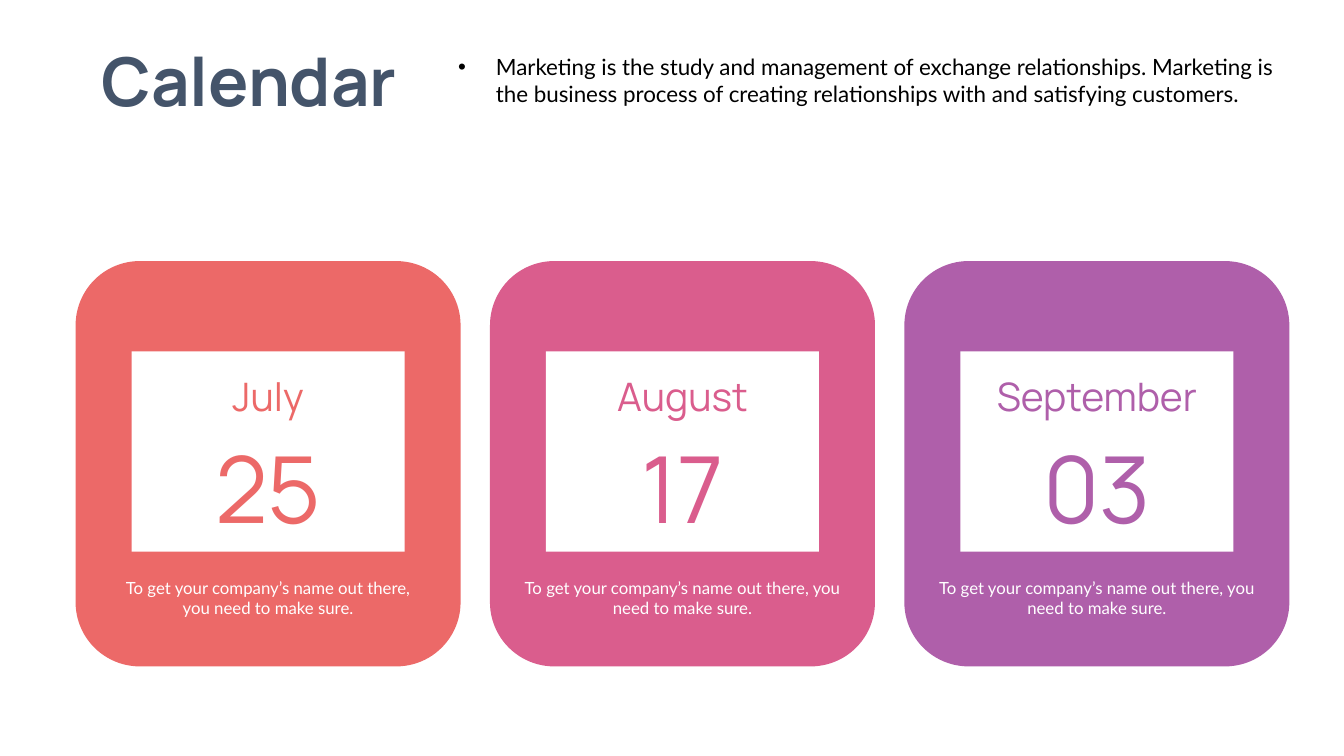
from lxml import etree
from pptx import Presentation
from pptx.dml.color import RGBColor
from pptx.enum.shapes import MSO_SHAPE
from pptx.enum.text import MSO_ANCHOR, MSO_AUTO_SIZE, PP_ALIGN
from pptx.oxml.ns import qn
from pptx.util import Pt

ROUND, RECT = MSO_SHAPE.ROUNDED_RECTANGLE, MSO_SHAPE.RECTANGLE
TOP, MIDDLE = MSO_ANCHOR.TOP, MSO_ANCHOR.MIDDLE
LEFT, CENTER = PP_ALIGN.LEFT, PP_ALIGN.CENTER
FIXED = MSO_AUTO_SIZE.NONE

SLATE = RGBColor(0x44, 0x54, 0x6A)
BLACK = RGBColor(0, 0, 0)
WHITE = RGBColor(255, 255, 255)
CORAL = RGBColor(0xEC, 0x69, 0x68)
PINK = RGBColor(0xDA, 0x5D, 0x8D)
PURPLE = RGBColor(0xAF, 0x5F, 0xAA)

HEAD, BODY = "Manrope", "Lato"
INTRO = ("Marketing is the study and management of exchange relationships. "
         "Marketing is the business process of creating relationships "
         "with and satisfying customers.")
NOTE = "To get your company’s name out there, you need to make sure."
DATES = [("July", "25", CORAL, 228), ("August", "17", PINK, 254),
         ("September", "03", PURPLE, 254)]


def place(shape, x, y, w, h):
    """Move a shape to a box given in points."""
    shape.left, shape.top, shape.width, shape.height = map(Pt, (x, y, w, h))


def write(shape, text, font, size, color, align=CENTER, anchor=TOP,
          wrap=True, bold=False):
    """Fill a text shape with one styled paragraph."""
    frame = shape.text_frame
    frame.text = text
    frame.word_wrap = wrap
    frame.auto_size = FIXED
    frame.vertical_anchor = anchor
    para = frame.paragraphs[0]
    para.alignment = align
    para.space_before = Pt(0)
    para.font.name, para.font.size = font, Pt(size)
    para.font.bold = bold
    para.font.color.rgb = color
    return frame


def block(slide, kind, color, x, y, w, h):
    """Draw a plain filled shape."""
    shape = slide.shapes.add_shape(kind, Pt(x), Pt(y), Pt(w), Pt(h))
    shape.shadow.inherit = False
    shape.fill.solid()
    shape.fill.fore_color.rgb = color
    shape.line.fill.background()


def label(slide, text, size, color, x, y, w, h):
    """Add a tight, centred line of display text."""
    box = slide.shapes.add_textbox(Pt(x), Pt(y), Pt(w), Pt(h))
    frame = write(box, text, HEAD, size, color, anchor=MIDDLE)
    frame.margin_left = frame.margin_right = Pt(0)
    frame.margin_top = frame.margin_bottom = Pt(0)
    frame.paragraphs[0].line_spacing = 0.9


def header(slide, x, y, w, h):
    """Set the title and the intro text in the top band."""
    title, intro = slide.placeholders
    place(title, x, y, 248, h)
    write(title, "Calendar", HEAD, 48, SLATE, wrap=False, bold=True)
    place(intro, x + 266, y + 10, w - 266, 46)
    props = intro.text_frame.paragraphs[0]._p.get_or_add_pPr()
    props.set("marL", "0")
    props.set("indent", "0")
    etree.SubElement(props, qn("a:buNone"))
    write(intro, INTRO, BODY, 16, BLACK, align=LEFT)


def card(slide, date, x, y, w, h):
    """Draw one date card inside its box."""
    month, day, color, span = date
    block(slide, ROUND, color, x, y, w, h)
    block(slide, RECT, WHITE, x + 40, y + 64.5, w - 80, 143)
    label(slide, month, 28, color, x + 53, y + 82.5, w - 106, 32)
    label(slide, day, 66, color, x + 55, y + 129, w - 110, 74)
    note = slide.shapes.add_textbox(
        Pt(x + (w - span) / 2), Pt(y + 222.5), Pt(span), Pt(36))
    write(note, NOTE, BODY, 12, WHITE)


def main():
    """Build the calendar slide."""
    deck = Presentation()
    deck.slide_width, deck.slide_height = Pt(960), Pt(540)
    slide = deck.slides.add_slide(deck.slide_layouts[1])
    header(slide, 54, 24.5, 888, 65.5)
    for i, date in enumerate(DATES):
        card(slide, date, 54 + 296 * i, 186.5, 275, 289.5)
    deck.save("out.pptx")


if __name__ == "__main__":
    main()
